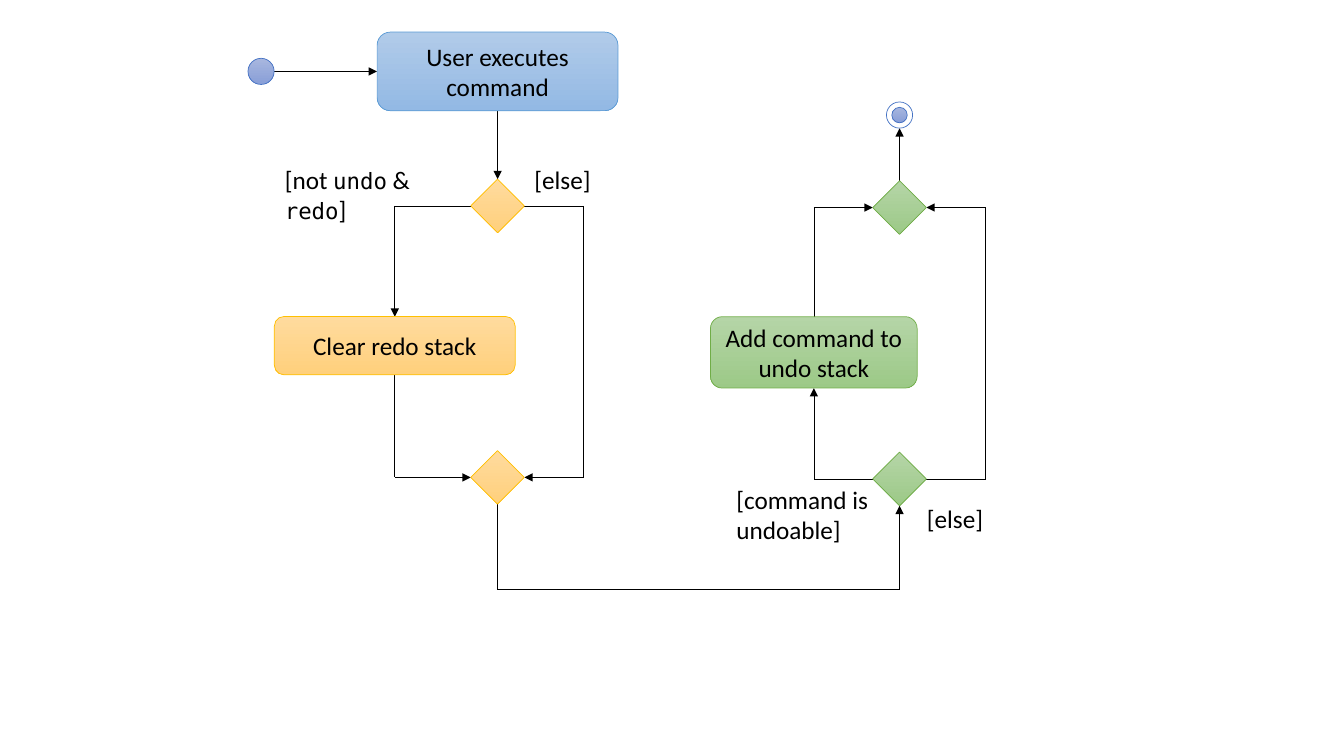
from pptx import Presentation
from pptx.dml.color import RGBColor
from pptx.enum.shapes import MSO_CONNECTOR, MSO_SHAPE
from pptx.enum.text import MSO_ANCHOR, PP_ALIGN
from pptx.oxml.ns import qn
from pptx.util import Cm, Pt
from lxml.etree import SubElement

BODY, CODE = "Calibri", "DejaVu Sans Mono"
BLUE = ("B1CBE9", "93B9E4", "5B9BD5")
ORANGE = ("FFDB9E", "FFD07C", "FFC000")
GREEN = ("B5D5A7", "9CC987", "70AD47")
INDIGO = ("A8B7DF", "889ED7", "4472C4")
WHITE = ("FFFFFF", "FFFFFF", "4472C4")

DIAMOND, DOT = 1.35, 0.66
HALF = DIAMOND / 2
START_X, START_Y = 6.58, 1.8
END_Y = 2.9
UNDO_X, REDO_X = 20.51, 9.95
LEFT_X, LEFT_LOOP = 12.54, 14.71
RIGHT_X, RIGHT_LOOP = 22.67, 24.84
LEFT_TOP, LEFT_BOTTOM = 5.19, 12.03
RIGHT_TOP, RIGHT_BOTTOM = 5.23, 12.07
LINK_Y = 14.86

actions = [
    ("User executes command", LEFT_X, START_Y, 6.07, 1.98, BLUE),
    ("Clear redo stack", REDO_X, 8.71, 6.07, 1.47, ORANGE),
    ("Add command to undo stack", UNDO_X, 8.88, 5.21, 1.8, GREEN),
]
diamonds = [
    (LEFT_X, LEFT_TOP, ORANGE),
    (LEFT_X, LEFT_BOTTOM, ORANGE),
    (RIGHT_X, RIGHT_TOP, GREEN),
    (RIGHT_X, RIGHT_BOTTOM, GREEN),
]
dots = [
    (START_X, START_Y, DOT, INDIGO),
    (RIGHT_X, END_Y, DOT, WHITE),
    (RIGHT_X, END_Y, 0.39, INDIGO),
]
guards = [
    ([("[not ", BODY), ("undo", CODE), (" & ", BODY), ("redo", CODE), ("]", BODY)],
     6.93, 4.01, 5, 1.8),
    ([("[else]", BODY)], 13.22, 4.01, 2.36, 1.03),
    ([("[command is undoable]", BODY)], 18.31, 12.07, 3.94, 1.8),
    ([("[else]", BODY)], 23.11, 12.55, 2.36, 1.03),
]
flows = [
    [(START_X + DOT / 2, START_Y), (9.5, START_Y)],
    [(LEFT_X, 2.79), (LEFT_X, LEFT_TOP - HALF)],
    [(LEFT_X - HALF, LEFT_TOP), (REDO_X, LEFT_TOP), (REDO_X, 7.98)],
    [(REDO_X, 9.45), (REDO_X, LEFT_BOTTOM), (LEFT_X - HALF, LEFT_BOTTOM)],
    [(LEFT_X + HALF, LEFT_TOP), (LEFT_LOOP, LEFT_TOP),
     (LEFT_LOOP, LEFT_BOTTOM), (LEFT_X + HALF, LEFT_BOTTOM)],
    [(LEFT_X, LEFT_BOTTOM + HALF), (LEFT_X, LINK_Y),
     (RIGHT_X, LINK_Y), (RIGHT_X, RIGHT_BOTTOM + HALF)],
    [(RIGHT_X - HALF, RIGHT_BOTTOM), (UNDO_X, RIGHT_BOTTOM), (UNDO_X, 9.78)],
    [(UNDO_X, 7.98), (UNDO_X, RIGHT_TOP), (RIGHT_X - HALF, RIGHT_TOP)],
    [(RIGHT_X + HALF, RIGHT_BOTTOM), (RIGHT_LOOP, RIGHT_BOTTOM),
     (RIGHT_LOOP, RIGHT_TOP), (RIGHT_X + HALF, RIGHT_TOP)],
    [(RIGHT_X, RIGHT_TOP - HALF), (RIGHT_X, END_Y + DOT / 2)],
]


def rgb(color):
    return RGBColor.from_string(color)


def add_node(kind, x, y, w, h, colors):
    top, bottom, edge = colors
    sp = s.shapes.add_shape(kind, Cm(x - w / 2), Cm(y - h / 2), Cm(w), Cm(h))
    sp.shadow.inherit = False
    if top == bottom:
        sp.fill.solid()
        sp.fill.fore_color.rgb = rgb(top)
    else:
        sp.fill.gradient()
        sp.fill.gradient_angle = 270
        for stop, color in zip(sp.fill.gradient_stops, (top, bottom)):
            stop.color.rgb = rgb(color)
    sp.line.color.rgb = rgb(edge)
    sp.line.width = Pt(0.5)
    return sp


def add_flow(points):
    for start, end in zip(points, points[1:]):
        line = s.shapes.add_connector(
            MSO_CONNECTOR.STRAIGHT, *[Cm(v) for v in start + end])
        line.line.color.rgb = rgb("000000")
        line.line.width = Pt(0.5)
        SubElement(line._element.spPr, qn("a:effectLst"))
    SubElement(line.line._get_or_add_ln(), qn("a:tailEnd"), type="triangle")


prs = Presentation()
prs.slide_width, prs.slide_height = Cm(33.87), Cm(19.05)
s = prs.slides.add_slide(prs.slide_layouts[6])

for flow in flows:
    add_flow(flow)
for x, y, colors in diamonds:
    add_node(MSO_SHAPE.DIAMOND, x, y, DIAMOND, DIAMOND, colors)
for x, y, size, colors in dots:
    add_node(MSO_SHAPE.OVAL, x, y, size, size, colors)

for text, *place in actions:
    tf = add_node(MSO_SHAPE.ROUNDED_RECTANGLE, *place).text_frame
    tf.word_wrap = True
    tf.vertical_anchor = MSO_ANCHOR.MIDDLE
    p = tf.paragraphs[0]
    p.text = text
    p.alignment = PP_ALIGN.CENTER
    p.font.name, p.font.size = BODY, Pt(18)
    p.font.color.rgb = rgb("000000")

for runs, *place in guards:
    tf = s.shapes.add_textbox(*[Cm(v) for v in place]).text_frame
    tf.word_wrap = True
    p = tf.paragraphs[0]
    p.font.color.rgb = rgb("000000")
    for text, font in runs:
        r = p.add_run()
        r.text = text
        r.font.name = font
        r.font.size = Pt(16 if font == CODE else 18)

prs.save("out.pptx")
